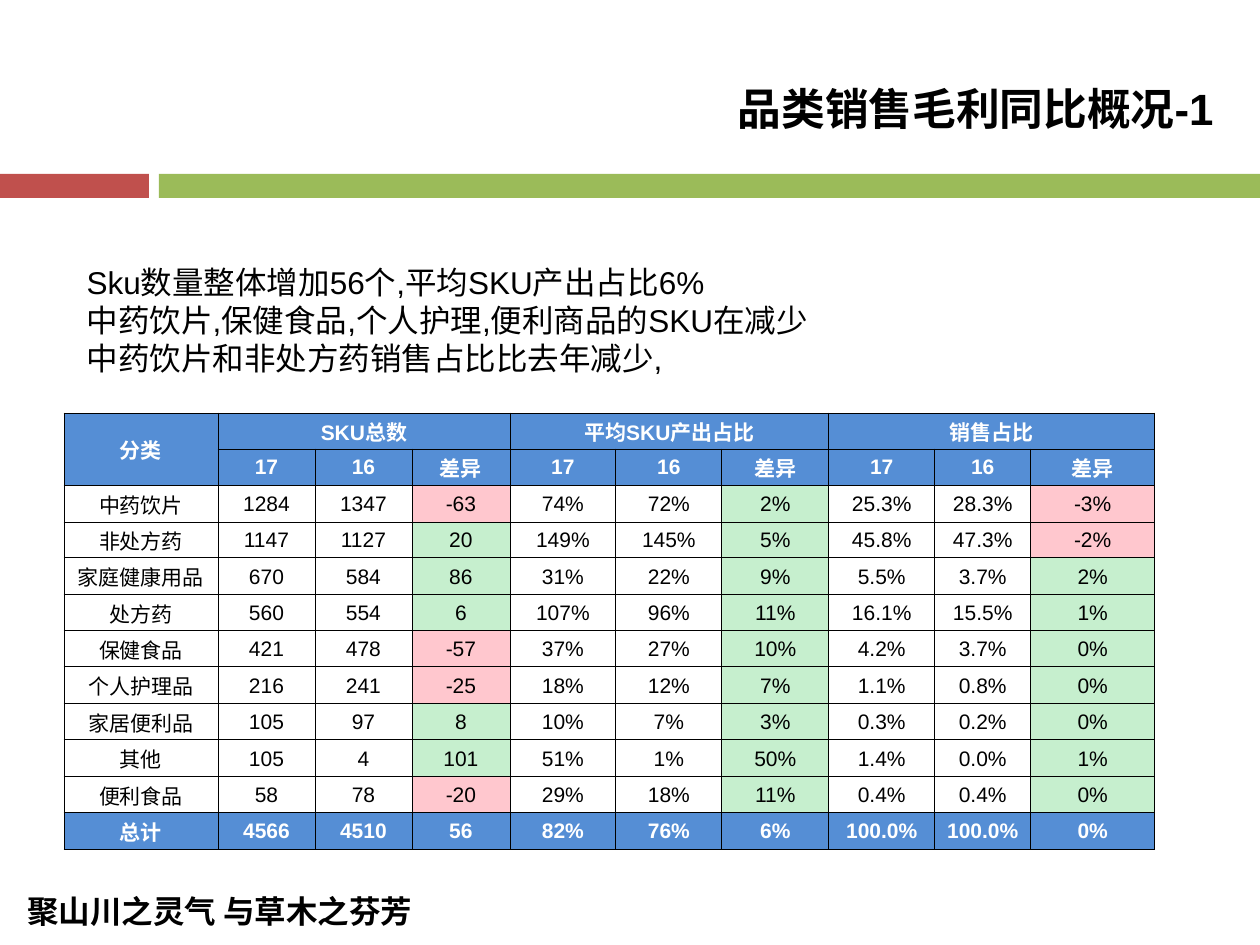
from lxml import etree
from pptx import Presentation
from pptx.dml.color import RGBColor
from pptx.enum.shapes import MSO_SHAPE
from pptx.enum.text import MSO_ANCHOR, MSO_AUTO_SIZE, PP_ALIGN
from pptx.oxml.ns import qn
from pptx.util import Emu, Pt

RECTANGLE = MSO_SHAPE.RECTANGLE
TOP, MIDDLE = MSO_ANCHOR.TOP, MSO_ANCHOR.MIDDLE
NO_AUTOFIT = MSO_AUTO_SIZE.NONE
LEFT, CENTER, RIGHT = PP_ALIGN.LEFT, PP_ALIGN.CENTER, PP_ALIGN.RIGHT

EMU_PER_PX = 914400 / 126
COLORS = {
    "text": "000000",
    "white": "FFFFFF",
    "green_bar": "9BBB59",
    "red_bar": "C0504D",
    "header": "558ED5",
    "rise": "C6EFCE",
    "fall": "FFC7CE",
}

METRICS = ["SKU总数", "平均SKU产出占比", "销售占比"]
PERIODS = ["17", "16", "差异"]
CATEGORIES = [
    ["中药饮片", "1284", "1347", "-63", "74%", "72%", "2%", "25.3%", "28.3%", "-3%"],
    ["非处方药", "1147", "1127", "20", "149%", "145%", "5%", "45.8%", "47.3%", "-2%"],
    ["家庭健康用品", "670", "584", "86", "31%", "22%", "9%", "5.5%", "3.7%", "2%"],
    ["处方药", "560", "554", "6", "107%", "96%", "11%", "16.1%", "15.5%", "1%"],
    ["保健食品", "421", "478", "-57", "37%", "27%", "10%", "4.2%", "3.7%", "0%"],
    ["个人护理品", "216", "241", "-25", "18%", "12%", "7%", "1.1%", "0.8%", "0%"],
    ["家居便利品", "105", "97", "8", "10%", "7%", "3%", "0.3%", "0.2%", "0%"],
    ["其他", "105", "4", "101", "51%", "1%", "50%", "1.4%", "0.0%", "1%"],
    ["便利食品", "58", "78", "-20", "29%", "18%", "11%", "0.4%", "0.4%", "0%"],
]
TOTAL = ["总计", "4566", "4510", "56", "82%", "76%", "6%", "100.0%", "100.0%", "0%"]
COLUMN_WIDTHS = [154, 97, 97, 98, 106, 106, 107, 106, 96, 124]
SUMMARY = [
    "Sku数量整体增加56个,平均SKU产出占比6%",
    "中药饮片,保健食品,个人护理,便利商品的SKU在减少",
    "中药饮片和非处方药销售占比比去年减少,",
]


def px(length):
    return Emu(round(length * EMU_PER_PX))


def rgb(name):
    return RGBColor.from_string(COLORS[name])


class SlideBuilder:
    """Holds the fonts and the slide being filled."""

    latin = "Arial"
    east_asian = "Noto Sans CJK SC"

    def __init__(self, slide):
        self.slide = slide

    def paragraph(self, paragraph, text, size, color="text", bold=False,
                  align=LEFT, latin=None):
        paragraph.alignment = align
        paragraph.space_before = Pt(0)
        run = paragraph.add_run()
        run.text = text
        run.font.size = Pt(size)
        run.font.bold = bold
        run.font.color.rgb = rgb(color)
        run.font.name = latin or self.latin
        east_asian = etree.SubElement(run.font._element, qn("a:ea"))
        east_asian.set("typeface", self.east_asian)

    def place(self, shape, left, top, width, height, anchor):
        shape.left, shape.top = px(left), px(top)
        shape.width, shape.height = px(width), px(height)
        frame = shape.text_frame
        frame.word_wrap = True
        frame.auto_size = NO_AUTOFIT
        frame.vertical_anchor = anchor
        return frame

    def title(self, text, *box):
        frame = self.place(self.slide.shapes.title, *box, MIDDLE)
        self.paragraph(frame.paragraphs[0], text, 25, bold=True, align=RIGHT)

    def body(self, lines, *box):
        frame = self.place(self.slide.placeholders[1], *box, TOP)
        for index, line in enumerate(lines):
            paragraph = frame.add_paragraph() if index else frame.paragraphs[0]
            self.paragraph(paragraph, line, 18)
            properties = paragraph._p.get_or_add_pPr()
            properties.set("marL", "0")
            properties.set("indent", "0")
            etree.SubElement(properties, qn("a:buNone"))

    def label(self, text, *box):
        textbox = self.slide.shapes.add_textbox(0, 0, 0, 0)
        frame = self.place(textbox, *box, TOP)
        self.paragraph(frame.paragraphs[0], text, 18, bold=True,
                       latin=self.east_asian)

    def bar(self, color, left, top, width, height):
        bar = self.slide.shapes.add_shape(
            RECTANGLE, px(left), px(top), px(width), px(height))
        bar.shadow.inherit = False
        bar.fill.solid()
        bar.fill.fore_color.rgb = rgb(color)
        bar.line.fill.background()

    def border(self, cell):
        properties = cell._tc.get_or_add_tcPr()
        for side in ("lnL", "lnR", "lnT", "lnB"):
            line = etree.SubElement(properties, qn(f"a:{side}"), w=str(Pt(0.5)))
            fill = etree.SubElement(line, qn("a:solidFill"))
            etree.SubElement(fill, qn("a:srgbClr"), val=COLORS["text"])

    def cell(self, cell, text, fill, heading):
        cell.margin_left = cell.margin_right = cell.margin_top = px(1)
        cell.margin_bottom = 0
        cell.vertical_anchor = MIDDLE
        self.border(cell)
        if fill:
            cell.fill.solid()
            cell.fill.fore_color.rgb = rgb(fill)
        else:
            cell.fill.background()
        self.paragraph(cell.text_frame.paragraphs[0], text, 12,
                       "white" if heading else "text", heading, CENTER)

    def comparison_table(self, left, top, height):
        span = len(PERIODS)
        metric_row = ["分类"]
        for metric in METRICS:
            metric_row += [metric] + [""] * (span - 1)
        rows = [metric_row, [""] + PERIODS * len(METRICS), *CATEGORIES, TOTAL]
        count = len(rows)
        table = self.slide.shapes.add_table(
            count, len(COLUMN_WIDTHS), px(left), px(top),
            px(sum(COLUMN_WIDTHS)), px(height)).table
        table.first_row = table.horz_banding = False
        for column, width in zip(table.columns, COLUMN_WIDTHS):
            column.width = px(width)
        for r, values in enumerate(rows):
            table.rows[r].height = px((r + 1) * height // count - r * height // count)
            heading = r < 2 or r == count - 1
            for c, value in enumerate(values):
                fill = None
                if heading:
                    fill = "header"
                elif c and c % span == 0:
                    fill = "fall" if value.startswith("-") else "rise"
                self.cell(table.cell(r, c), value, fill, heading)
        table.cell(0, 0).merge(table.cell(1, 0))
        for first in range(1, len(COLUMN_WIDTHS), span):
            table.cell(0, first).merge(table.cell(0, first + span - 1))


def main():
    presentation = Presentation()
    presentation.slide_width, presentation.slide_height = px(1260), px(945)
    builder = SlideBuilder(
        presentation.slides.add_slide(presentation.slide_layouts[1]))
    builder.bar("green_bar", 159, 174, 1101, 24)
    builder.bar("red_bar", 0, 174, 149, 24)
    builder.label("聚山川之灵气 与草木之芬芳", 15, 886, 507, 50)
    builder.title("品类销售毛利同比概况-1", 276, 75, 950, 66)
    builder.comparison_table(64, 413, 437)
    builder.body(SUMMARY, 74, 257, 766, 127)
    presentation.save("out.pptx")


if __name__ == "__main__":
    main()
